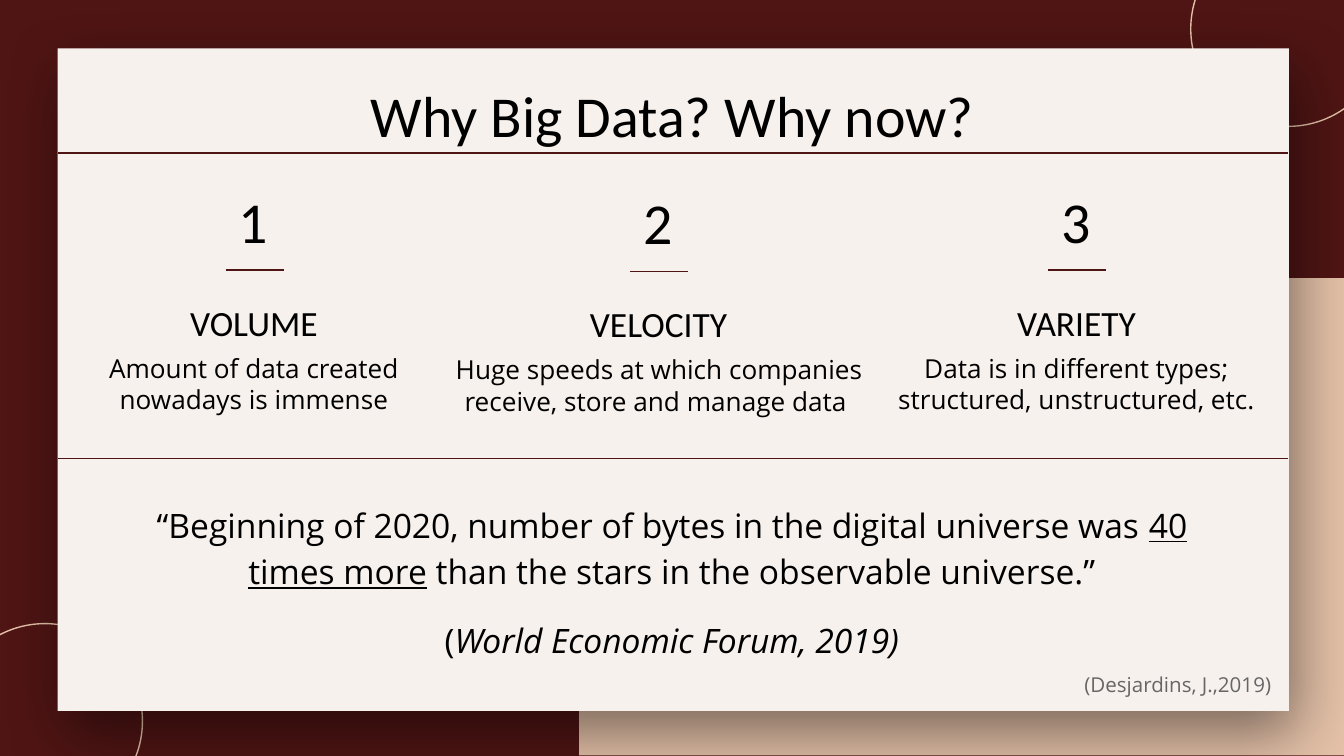
from dataclasses import dataclass

import pptx
import pptx.dml.color
import pptx.enum.shapes
import pptx.enum.text
import pptx.oxml
import pptx.oxml.ns
import pptx.util
from lxml import etree

PX = 9144  # EMU per px, 100 px to the inch
SHAPE = pptx.enum.shapes.MSO_SHAPE
ANCHOR = pptx.enum.text.MSO_ANCHOR
ALIGN = pptx.enum.text.PP_ALIGN
qn = pptx.oxml.ns.qn


@dataclass(frozen=True)
class Theme:
    wine: str = "4F1514"
    sand: str = "E4C1A8"
    paper: str = "F7F1ED"
    ink: str = "000000"
    grey: str = "666666"
    heading_font: str = "Calibri"
    body_font: str = "Open Sans"
    title: int = 31
    label: int = 19
    quote: int = 18
    body: int = 14
    source: int = 11
    line: float = 0.75


def rgb(value):
    return pptx.dml.color.RGBColor.from_string(value)


class SlideBuilder:
    def __init__(self, slide, theme):
        self.slide = slide
        self.theme = theme

    def background(self, color):
        fill = self.slide.background.fill
        fill.solid()
        fill.fore_color.rgb = rgb(color)

    def shape(self, kind, box, fill=None, line=None):
        shape = self.slide.shapes.add_shape(kind, *(v * PX for v in box))
        shape.shadow.inherit = False
        if fill:
            shape.fill.solid()
            shape.fill.fore_color.rgb = rgb(fill)
        else:
            shape.fill.background()
        if line:
            shape.line.color.rgb = rgb(line)
            shape.line.width = pptx.util.Pt(self.theme.line)
        else:
            shape.line.fill.background()
        return shape

    def drop_shadow(self, shape, blur, distance, angle, opacity):
        effects = shape.element.spPr.find(qn("a:effectLst"))
        shadow = etree.SubElement(
            effects, qn("a:outerShdw"), blurRad=str(pptx.util.Pt(blur)),
            dist=str(pptx.util.Pt(distance)), dir=str(angle * 60000),
            algn="bl", rotWithShape="0")
        color = etree.SubElement(shadow, qn("a:srgbClr"), val=self.theme.ink)
        etree.SubElement(color, qn("a:alpha"), val=str(opacity * 1000))

    def rule(self, left, right, y):
        line = self.slide.shapes.add_connector(
            pptx.enum.shapes.MSO_CONNECTOR.STRAIGHT,
            left * PX, y * PX, right * PX, y * PX)
        line.line.color.rgb = rgb(self.theme.wine)
        line.line.width = pptx.util.Pt(self.theme.line)
        etree.SubElement(line.element.spPr, qn("a:effectLst"))

    def frame(self, shape, top_inset=10, anchor=ANCHOR.TOP):
        frame = shape.text_frame
        frame.word_wrap = True
        frame.auto_size = pptx.enum.text.MSO_AUTO_SIZE.NONE
        frame.vertical_anchor = anchor
        frame.margin_left = frame.margin_right = frame.margin_bottom = 10 * PX
        frame.margin_top = top_inset * PX
        return frame

    def format(self, paragraph, font, size, color=None, align=ALIGN.CENTER,
               spacing=1.0, before=0, after=0):
        paragraph.alignment = align
        paragraph.line_spacing = spacing
        paragraph.space_before = pptx.util.Pt(before)
        paragraph.space_after = pptx.util.Pt(after)
        for run in paragraph.runs:
            run.font.name = font
            run.font.size = pptx.util.Pt(size)
            run.font.color.rgb = rgb(color or self.theme.ink)

    def text(self, words, box, font, size, top_inset=10, anchor=ANCHOR.TOP,
             **style):
        shape = self.slide.shapes.add_textbox(*(v * PX for v in box))
        frame = self.frame(shape, top_inset, anchor)
        frame.text = words
        self.format(frame.paragraphs[0], font, size, **style)

    def place(self, placeholder, box):
        """Move a placeholder to its box, in front of the backdrop."""
        placeholder.left, placeholder.top, placeholder.width, \
            placeholder.height = (v * PX for v in box)
        placeholder.element.getparent().append(placeholder.element)

    def title(self, words, box):
        heading = self.slide.shapes.title
        self.place(heading, box)
        frame = self.frame(heading, top_inset=0)
        frame.text = words
        self.format(frame.paragraphs[0], self.theme.heading_font,
                    self.theme.title)

    def quote(self, paragraphs, box):
        """Each paragraph is a list of (words, font attribute) and a gap."""
        body = self.slide.placeholders[1]
        self.place(body, box)
        frame = self.frame(body, top_inset=0, anchor=ANCHOR.MIDDLE)
        for index, (parts, gap) in enumerate(paragraphs):
            paragraph = frame.add_paragraph() if index else frame.paragraphs[0]
            for words, emphasis in parts:
                run = paragraph.add_run()
                run.text = words
                if emphasis:
                    setattr(run.font, emphasis, True)
            self.format(paragraph, self.theme.body_font, self.theme.quote,
                        spacing=1.15, before=gap, after=gap)
            properties = paragraph._p.get_or_add_pPr()
            properties.set("marL", "0")
            properties.set("indent", "0")
            etree.SubElement(properties, qn("a:buNone"))

    def column(self, number, label, description, center, width, drop):
        theme = self.theme
        self.text(number, (center - 31, 138 + drop, 61, 56),
                  theme.heading_font, theme.title, top_inset=0)
        self.rule(center - 21, center + 22, 201 + drop)
        self.text(label, (center - 148, 209 + drop, 296, 38),
                  theme.heading_font, theme.label, spacing=1.15, after=12)
        self.text(description, (center - width // 2, 247 + drop, width, 77),
                  theme.body_font, theme.body, anchor=ANCHOR.MIDDLE, after=12)


def main():
    theme = Theme()
    deck = pptx.Presentation()
    deck.slide_width = 1000 * PX
    deck.slide_height = deck.slide_width * 9 // 16
    slide = deck.slides.add_slide(deck.slide_layouts[1])
    page = SlideBuilder(slide, theme)

    # Backdrop and paper card
    page.background(theme.wine)
    page.shape(SHAPE.RECTANGLE, (431, 207, 569, 355), fill=theme.sand)
    for left, top in ((-39, 464), (886, -51)):
        page.shape(SHAPE.FLOWCHART_CONNECTOR, (left, top, 145, 145),
                   line=theme.sand)
    card = page.shape(SHAPE.RECTANGLE, (43, 36, 916, 493), fill=theme.paper)
    page.drop_shadow(card, blur=33.8, distance=12.8, angle=70, opacity=45)

    # Title and section rules
    page.title("Why Big Data? Why now?", (78, 59, 844, 55))
    for y in (114, 341):
        page.rule(43, 958, y)

    # The three Vs
    for column in (
        ("1", "VOLUME", "Amount of data created nowadays is immense",
         189, 296, 0),
        ("2", "VELOCITY",
         "Huge speeds at which companies receive, store and manage data ",
         490, 325, 1),
        ("3", "VARIETY",
         "Data is in different types; structured, unstructured, etc.",
         801, 290, 0),
    ):
        page.column(*column)

    # Quote and source
    page.quote([
        ([("“Beginning of 2020, number of bytes in the digital universe was ",
           None),
          ("40 times more", "underline"),
          (" than the stars in the observable universe.”", None)], 0),
        ([("(", None), ("World Economic Forum, 2019)", "italic")], 12),
    ], (79, 349, 842, 174))
    page.text("(Desjardins, J.,2019)", (797, 490, 160, 39), theme.body_font,
              theme.source, color=theme.grey, align=ALIGN.LEFT)

    deck.save("out.pptx")


if __name__ == "__main__":
    main()
